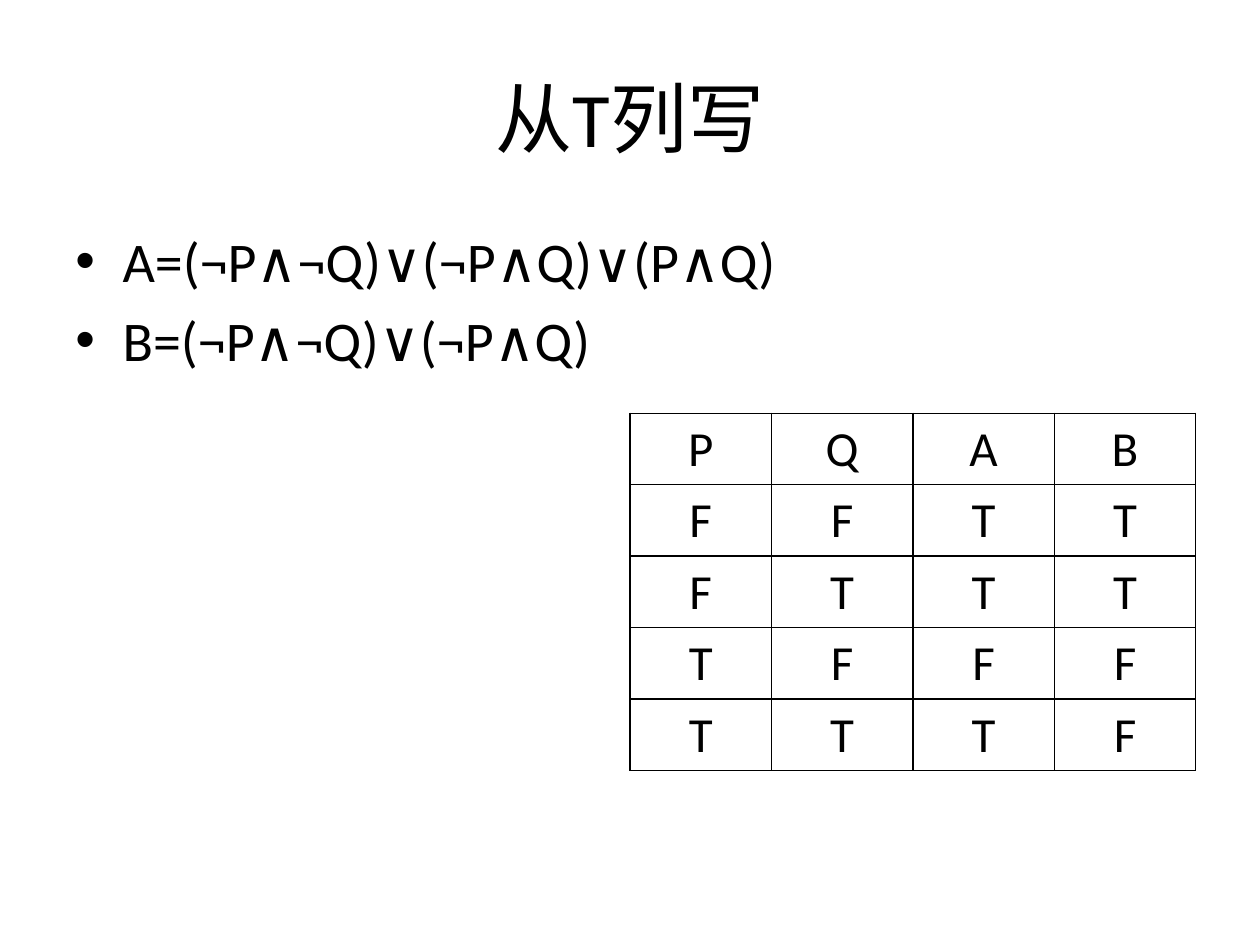
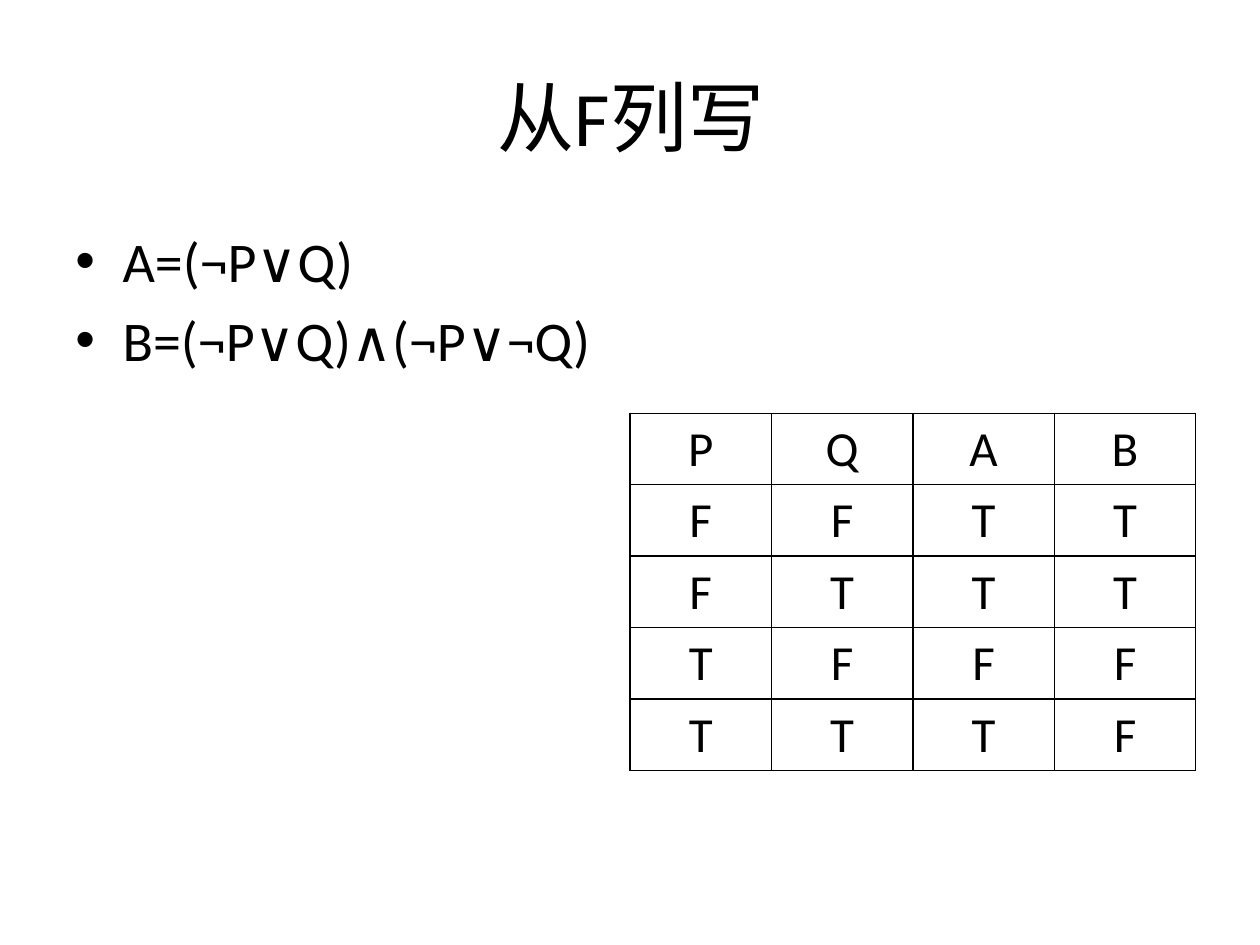
from dataclasses import dataclass
from pptx import Presentation as Deck
from pptx.dml.color import RGBColor as Color
from pptx.enum.text import MSO_ANCHOR as Anchor, PP_ALIGN as Align
from pptx.oxml.ns import qn
from pptx.util import Pt
from lxml.etree import SubElement as Sub, Element


# Shared look
@dataclass(frozen=True)
class Theme:
    font: str = "Calibri"
    ink: Color = Color(0, 0, 0)
    paper: Color = Color(255, 255, 255)
    title: int = 44
    body: int = 32
    cell: int = 28
    rule: int = 1
    indent: int = 27
    gap: float = 6.4


THEME = Theme()
TRUTH = ["PQAB", "FFTT", "FTTT", "TFFF", "TTTF"]
SLIDES = [
    ("从T列写", (36, 21.6), ["A=(¬P∧¬Q)∨(¬P∧Q)∨(P∧Q)", "B=(¬P∧¬Q)∨(¬P∧Q)"]),
    ("从F列写", (36.72, 20.88), ["A=(¬P∨Q)", "B=(¬P∨Q)∧(¬P∨¬Q)"]),
]


# Text
def add_bullet(para):
    props = para._p.get_or_add_pPr()
    props.set("marL", str(Pt(THEME.indent)))
    props.set("indent", str(-Pt(THEME.indent)))
    Sub(props, qn("a:buFont"), typeface="Arial")
    Sub(props, qn("a:buChar"), char="•")


def write(frame, lines, size, align=Align.LEFT, bullet=False, gap=0):
    for row, line in enumerate(lines):
        para = frame.paragraphs[0] if row == 0 else frame.add_paragraph()
        para.alignment = align
        if row and gap:
            para.space_before = Pt(gap)
        if bullet:
            add_bullet(para)
        run = para.add_run()
        run.text = line
        font = run.font
        font.name, font.size = THEME.font, Pt(size)
        font.color.rgb = THEME.ink


def add_box(slide, left, top, width, height, lines, anchor=Anchor.TOP, **style):
    box = slide.shapes.add_textbox(Pt(left), Pt(top), Pt(width), Pt(height))
    frame = box.text_frame
    frame.word_wrap = True
    frame.vertical_anchor = anchor
    write(frame, lines, **style)


# Truth table
def add_lines(cell):
    props = cell._tc.get_or_add_tcPr()
    for spot, side in enumerate("LRTB"):
        line = Element(qn(f"a:ln{side}"), w=str(Pt(THEME.rule)))
        fill = Sub(line, qn("a:solidFill"))
        Sub(fill, qn("a:srgbClr"), val=str(THEME.ink))
        props.insert(spot, line)


def add_grid(slide, left, top, wide, high, rows):
    count = len(rows[0])
    shape = slide.shapes.add_table(len(rows), count, Pt(left), Pt(top),
                                   Pt(wide * count), Pt(high * len(rows)))
    table = shape.table
    table.first_row = table.horz_banding = False
    for col in table.columns:
        col.width = Pt(wide)
    for row, marks in zip(table.rows, rows):
        row.height = Pt(high)
        for cell, mark in zip(row.cells, marks):
            cell.vertical_anchor = Anchor.MIDDLE
            cell.fill.background()
            add_lines(cell)
            write(cell.text_frame, [mark], THEME.cell, align=Align.CENTER)


def add_slide(deck, title, spot, lines):
    slide = deck.slides.add_slide(deck.slide_layouts[6])
    fill = slide.background.fill
    fill.solid()
    fill.fore_color.rgb = THEME.paper
    add_box(slide, *spot, 648, 90, [title], anchor=Anchor.MIDDLE,
            size=THEME.title, align=Align.CENTER)
    add_box(slide, 36, 126, 648, 356.4, lines,
            size=THEME.body, bullet=True, gap=THEME.gap)
    add_grid(slide, 360, 236.16, 80.82, 40.8, TRUTH)


def main():
    deck = Deck()
    deck.slide_width, deck.slide_height = Pt(720), Pt(540)
    for title, spot, lines in SLIDES:
        add_slide(deck, title, spot, lines)
    deck.save("out.pptx")


if __name__ == "__main__":
    main()
